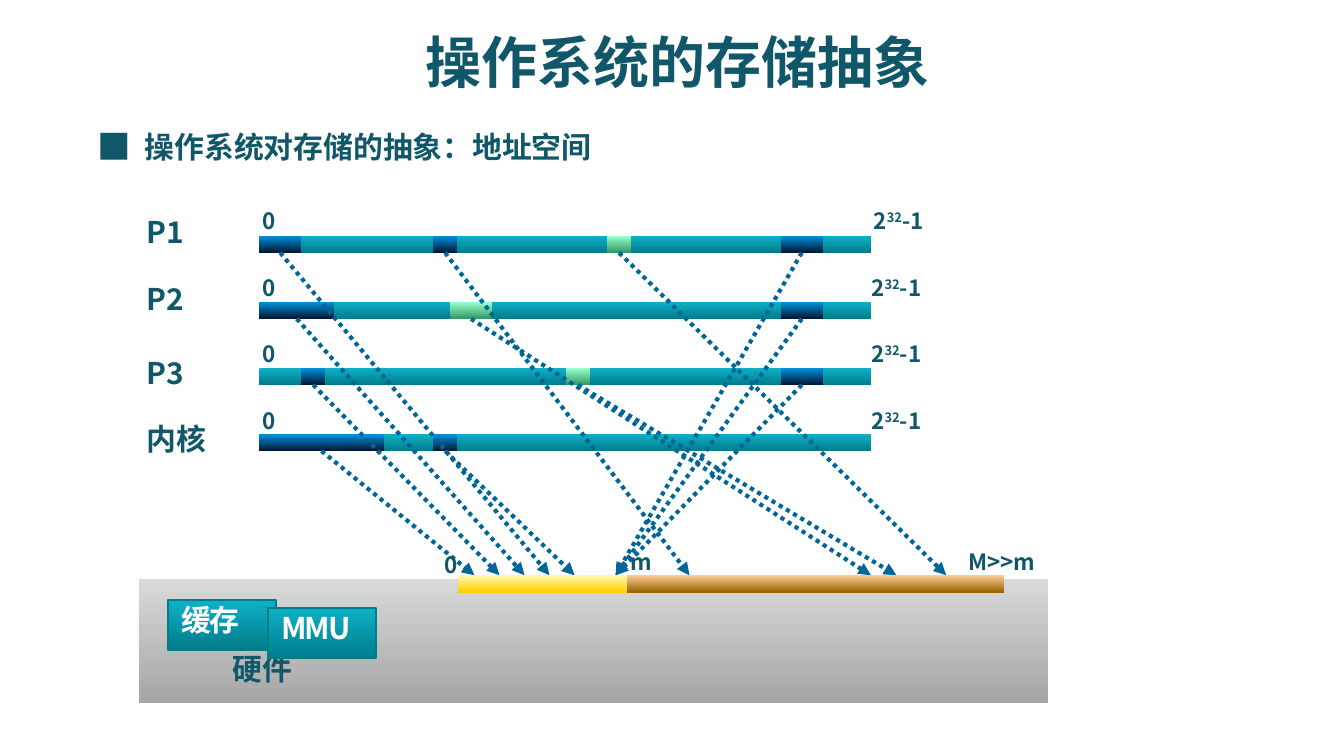
from dataclasses import dataclass

from lxml import etree
from pptx import Presentation
from pptx.dml.color import RGBColor
from pptx.enum.dml import MSO_LINE
from pptx.enum.shapes import MSO_CONNECTOR, MSO_SHAPE
from pptx.enum.text import MSO_ANCHOR, MSO_AUTO_SIZE, PP_ALIGN
from pptx.oxml.ns import qn
from pptx.util import Pt

RECTANGLE = MSO_SHAPE.RECTANGLE
STRAIGHT = MSO_CONNECTOR.STRAIGHT
DOTTED = MSO_LINE.ROUND_DOT
TOP = MSO_ANCHOR.TOP
LEFT = PP_ALIGN.LEFT
NO_AUTOFIT = MSO_AUTO_SIZE.NONE
BOTTOM_SIDE = 2


@dataclass(frozen=True)
class Theme:
    font: str = "Noto Sans CJK SC"
    bullet_font: str = "Noto Sans CJK JP"
    ink: str = "11576A"
    white: str = "FFFFFF"
    arrow: str = "006699"
    outline: str = "007C8B"
    # Gradients run from top colour to bottom colour
    teal: tuple = ("0EB1C8", "007C8B")
    navy: tuple = ("0093DD", "031634")
    green: tuple = ("99FFCC", "339966")
    grey: tuple = ("D9D9D9", "A6A6A6")
    yellow: tuple = ("FFF9B1", "FDD000")
    brown: tuple = ("FFCC99", "996600")
    title: int = 30
    bullet: int = 18
    body: int = 16
    small: int = 12
    line_spacing: float = 0.86


THEME = Theme()

# Address space bars
BAR_LEFT, BAR_TOP, BAR_WIDTH, BAR_HEIGHT = 139, 126.4, 327.6, 9
BAR_PITCH = 35.4
MARK_TOP, MARK_PITCH = 113, 35.7

# Physical memory: arrow targets along its top edge
MEMORY_TOP = 308.2
CACHE_SLOTS = [254.2 + 13.4 * slot for slot in range(5)]
SHARED = 329.8

NARROW, MEDIUM = 13, 22.3
SHARED_LEFT = 418.4

# Name, name top, limit left, blocks as (left, width, gradient, arrow target)
SPACES = [
    ("P1", 117.4, 468, [
        (BAR_LEFT, MEDIUM, THEME.navy, CACHE_SLOTS[3]),
        (232, NARROW, THEME.navy, 369.4),
        (325.2, NARROW, THEME.green, 506.9),
        (SHARED_LEFT, MEDIUM, THEME.navy, SHARED)]),
    ("P2", 153.4, 466.8, [
        (BAR_LEFT, 40, THEME.navy, CACHE_SLOTS[2]),
        (241.2, MEDIUM, THEME.green, 466.6),
        (SHARED_LEFT, MEDIUM, THEME.navy, SHARED)]),
    ("P3", 193, 466.8, [
        (161.3, NARROW, THEME.navy, CACHE_SLOTS[1]),
        (303.1, NARROW, THEME.green, 480.2),
        (SHARED_LEFT, MEDIUM, THEME.navy, SHARED)]),
    ("内核", 228.2, 466.8, [
        (BAR_LEFT, 66.5, THEME.navy, CACHE_SLOTS[0]),
        (232, NARROW, THEME.navy, CACHE_SLOTS[4])]),
]


def write(box, text, size=THEME.small, color=THEME.ink, font=THEME.font,
          inset=True, wrap=False, superscript=None, spacing=None):
    """Fill a shape with one left-aligned line; superscript names a raised part."""
    frame = box.text_frame
    frame.auto_size = NO_AUTOFIT
    frame.word_wrap = wrap
    frame.vertical_anchor = TOP
    frame.margin_left = frame.margin_right = Pt(7.2 if inset else 0)
    frame.margin_top = frame.margin_bottom = Pt(3.6 if inset else 0)
    para = frame.paragraphs[0]
    para.alignment = LEFT
    para.line_spacing = THEME.line_spacing
    parts = [text]
    if superscript:
        before, after = text.split(superscript)
        parts = [before, superscript, after]
    for part in parts:
        span = para.add_run()
        span.text = part
        span.font.size = Pt(size)
        span.font.bold = True
        span.font.color.rgb = RGBColor.from_string(color)
        span.font.name = font
        properties = span.font._element
        etree.SubElement(properties, qn("a:ea"), typeface=font)
        if part == superscript:
            properties.set("baseline", "30000")
        if spacing:
            properties.set("spc", str(spacing * 100))


def add_label(page, text, left, top, width, height, **text_format):
    box = page.shapes.add_textbox(Pt(left), Pt(top), Pt(width), Pt(height))
    write(box, text, **text_format)


def add_mark(page, text, left, top, width, **text_format):
    add_label(page, text, left, top, width, 14.4, inset=False, **text_format)


def add_block(page, left, top, width, height, gradient, outline=None):
    block = page.shapes.add_shape(RECTANGLE, Pt(left), Pt(top), Pt(width), Pt(height))
    block.shadow.inherit = False
    block.fill.gradient()
    block.fill.gradient_angle = 270
    for stop, color in zip(block.fill.gradient_stops, gradient):
        stop.color.rgb = RGBColor.from_string(color)
    if outline:
        block.line.color.rgb = RGBColor.from_string(outline)
        block.line.width = Pt(1)
    else:
        block.line.fill.background()
    return block


def add_arrow(page, block, target):
    """Dotted arrow from the bottom of a block to physical memory."""
    arrow = page.shapes.add_connector(
        STRAIGHT, block.left + block.width // 2, block.top + block.height,
        Pt(target), Pt(MEMORY_TOP))
    arrow.begin_connect(block, BOTTOM_SIDE)
    arrow.line.color.rgb = RGBColor.from_string(THEME.arrow)
    arrow.line.width = Pt(2.25)
    arrow.line.dash_style = DOTTED
    etree.SubElement(arrow.line._get_or_add_ln(), qn("a:tailEnd"), type="triangle")
    etree.SubElement(arrow._element.spPr, qn("a:effectLst"))


def add_heading(page):
    title = page.shapes.title
    title.left, title.top, title.width, title.height = Pt(221), Pt(16.6), Pt(305.3), Pt(43.9)
    write(title, "操作系统的存储抽象", size=THEME.title, wrap=True)
    add_label(page, "操作系统对存储的抽象：地址空间", 70.6, 68.4, 278.6, 26.6,
              size=THEME.body, wrap=True)
    add_label(page, "■", 45.4, 67, 33.1, 28.8, size=THEME.bullet, font=THEME.bullet_font)


def add_address_spaces(page):
    mappings = []
    for row, (name, name_top, limit_left, blocks) in enumerate(SPACES):
        top = BAR_TOP + row * BAR_PITCH
        mark_top = MARK_TOP + row * MARK_PITCH
        add_block(page, BAR_LEFT, top, BAR_WIDTH, BAR_HEIGHT, THEME.teal)
        add_label(page, name, 78.5, name_top, 60, 19.4, size=THEME.body,
                  inset=False, wrap=True)
        add_mark(page, "0", 140.4, mark_top, 7.2)
        add_mark(page, "232-1", limit_left, mark_top, 30.2, superscript="32")
        for left, width, gradient, target in blocks:
            block = add_block(page, left, top, width, BAR_HEIGHT, gradient)
            mappings.append((block, target))
    # Arrows lie above every bar
    for block, target in mappings:
        add_arrow(page, block, target)


def add_hardware(page):
    add_block(page, 74.4, 310.2, 487.2, 66.4, THEME.grey)
    add_label(page, "硬件", 117.4, 347.8, 47.5, 26.6, size=THEME.body)
    for text, left, top in (("缓存", 90, 321.4), ("MMU", 143.5, 325.7)):
        unit = add_block(page, left, top, 58, 26.8, THEME.teal, outline=THEME.outline)
        write(unit, text, size=THEME.body, color=THEME.white, wrap=True, spacing=-1)
    # Physical memory and its addresses
    add_mark(page, "0", 238.3, 297.4, 7.2)
    add_mark(page, "m", 337.7, 295.9, 11.5)
    add_block(page, 245.5, MEMORY_TOP, 150.5, BAR_HEIGHT, THEME.yellow)
    add_block(page, 336, MEMORY_TOP, 201.8, BAR_HEIGHT, THEME.brown)
    add_mark(page, "M>>m", 518.6, 295.9, 42.5)


def main():
    deck = Presentation()
    deck.slide_width, deck.slide_height = Pt(720), Pt(405)
    page = deck.slides.add_slide(deck.slide_layouts[5])
    add_heading(page)
    add_address_spaces(page)
    add_hardware(page)
    deck.save("out.pptx")


if __name__ == "__main__":
    main()
